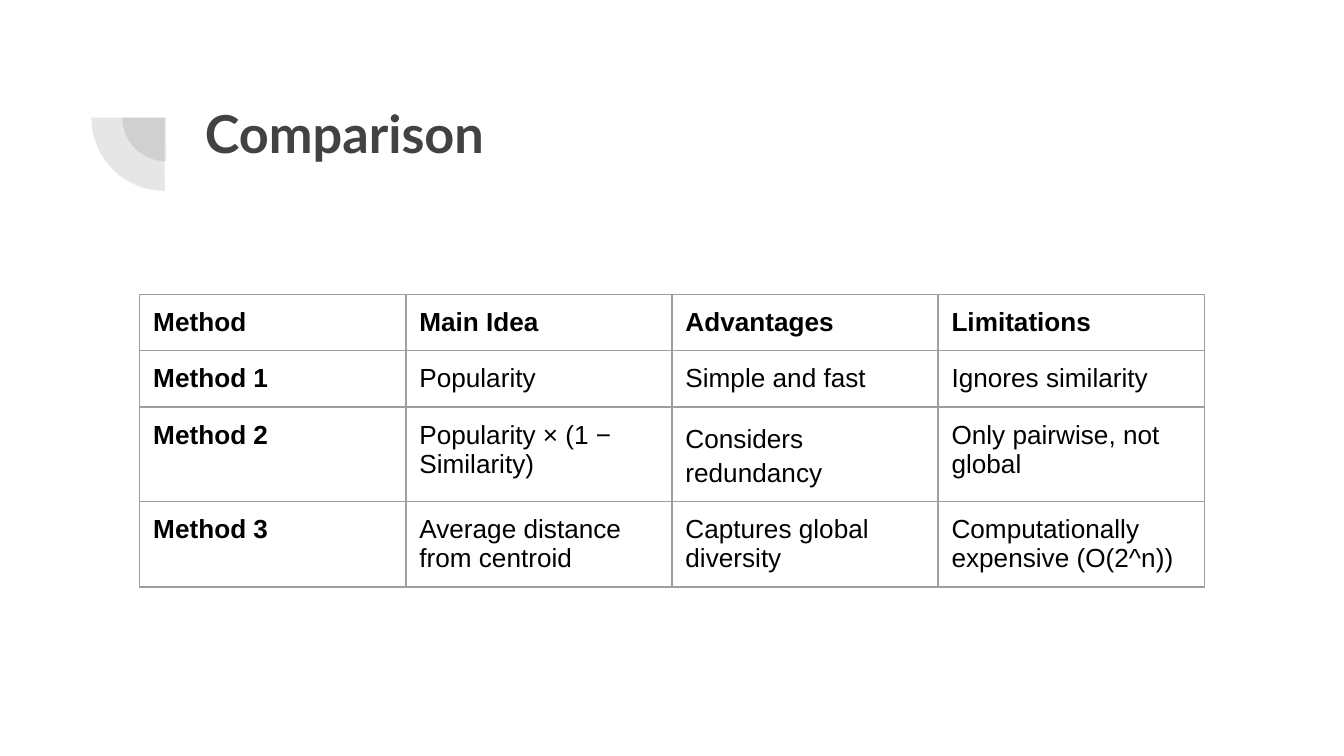
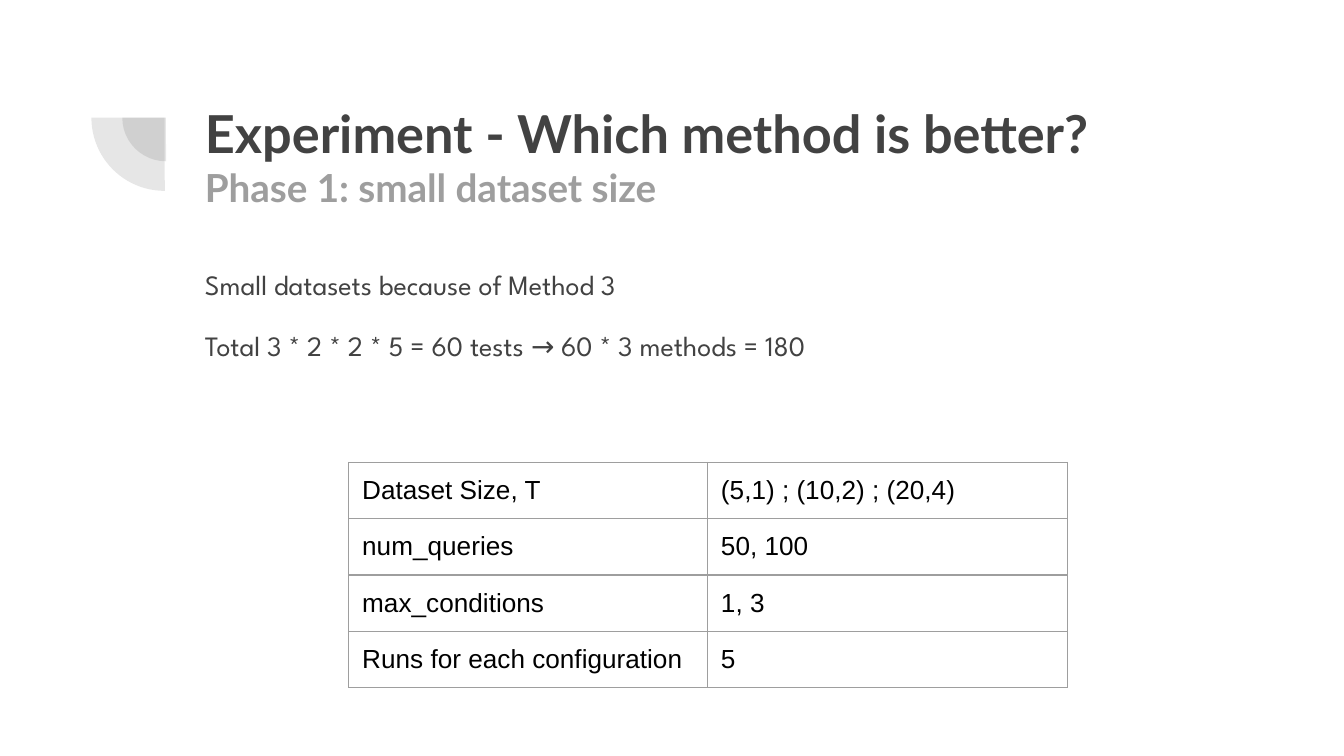
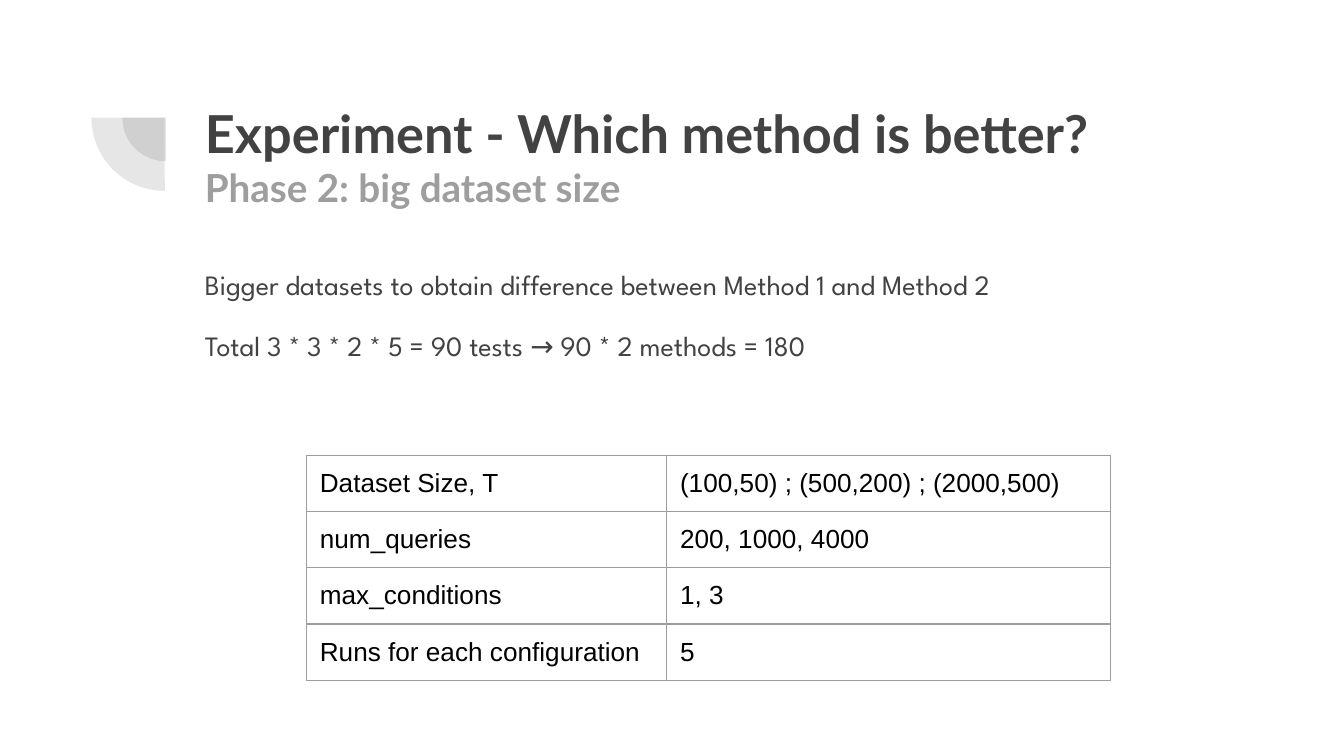
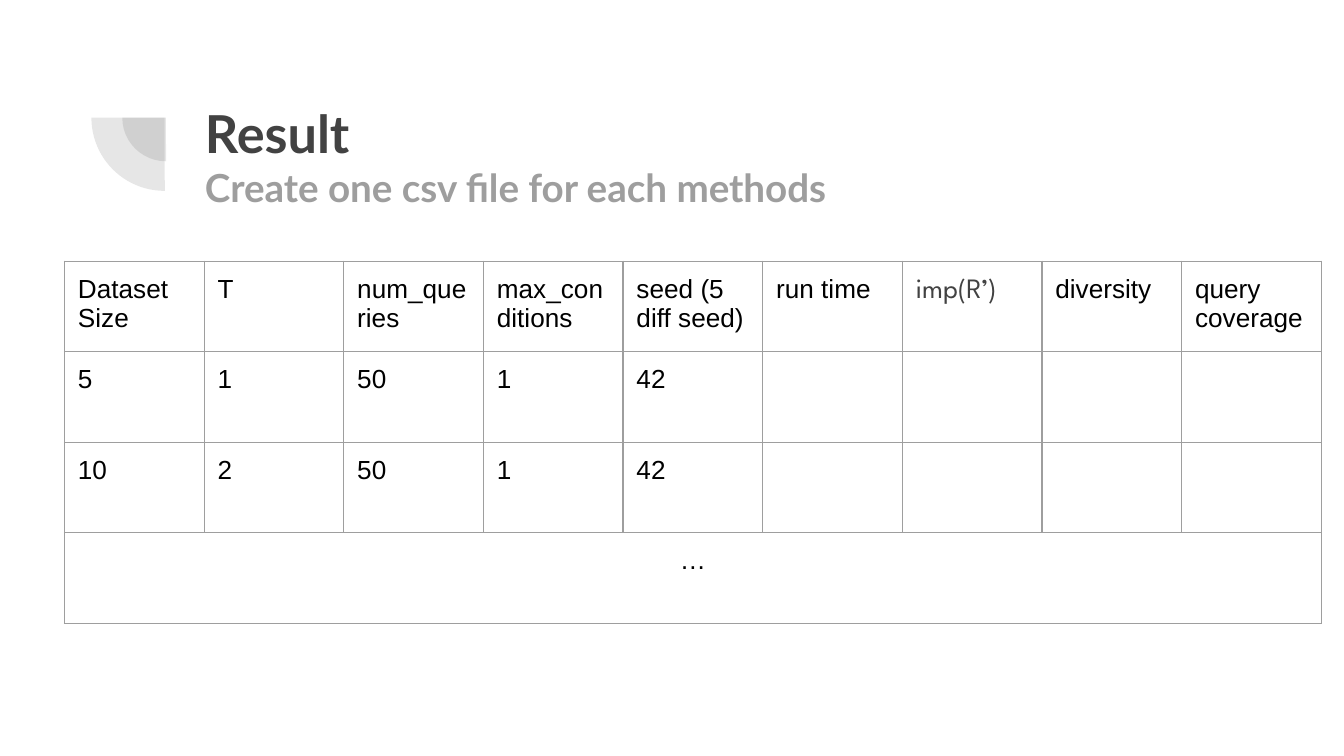
"""Build four slides that compare the methods and set out the experiment."""
from dataclasses import dataclass, field, replace

from lxml import etree
from pptx import Presentation
from pptx.dml.color import RGBColor
from pptx.enum.shapes import MSO_SHAPE
from pptx.enum.text import MSO_ANCHOR, MSO_AUTO_SIZE, PP_ALIGN
from pptx.oxml.ns import qn
from pptx.presentation import Presentation as Deck
from pptx.slide import Slide
from pptx.table import _Cell as Cell
from pptx.text.text import TextFrame, _Paragraph as Para
from pptx.util import Emu, Inches, Pt

PIE = MSO_SHAPE.PIE
TOP = MSO_ANCHOR.TOP
FIXED = MSO_AUTO_SIZE.NONE
LEFT, CENTER = PP_ALIGN.LEFT, PP_ALIGN.CENTER
WIDE = Inches(10)
HIGH = Emu(WIDE * 9 // 16)
COLS = 100
TITLED, LISTED = 5, 1


@dataclass(frozen=True)
class Style:
    font: str
    size: float
    color: str
    bold: bool = False
    line: float = 1.0
    before: float = 0
    after: float = 0
    align: PP_ALIGN = LEFT


@dataclass(frozen=True)
class Theme:
    dark: str = "424242"
    gray: str = "9E9E9E"
    rule: float = 0.75
    alpha: int = 13
    title: Style = Style("Lato", 28, "424242", bold=True)
    sub: Style = Style("Lato", 20.7, "9E9E9E", bold=True)
    lead: Style = Style("League Spartan", 15, "424242", line=1.15)
    cell: Style = Style("Arial", 14, "000000")


@dataclass(frozen=True)
class Box:
    x: float
    y: float
    w: float
    h: float


@dataclass(frozen=True)
class Sheet:
    x: float
    y: float
    cols: list[float]
    rows: list[float]
    cells: list[list[str]]
    heads: bool = False
    styles: dict[tuple[int, int], Style] = field(default_factory=dict)
    wide: tuple[int, ...] = ()


@dataclass(frozen=True)
class Page:
    title: list[str]
    sheet: Sheet
    lines: list[str] = field(default_factory=list)
    depth: float = 0


THEME = Theme()
HEAD = Box(14.25, 6.5, 76.9, 10.9)
BODY = Box(14.25, 18.55, 76.9, 13)
PIES = [Box(9.1, 5.5, 6.5, 6.5), Box(6.8, 3.3, 10.9, 10.9)]
LOOSE = replace(THEME.cell, line=1.15)
MID = replace(THEME.cell, align=CENTER)
NEXT = replace(THEME.lead, before=12, after=12)
SHORT = [2.8] + [4.17] * 3

PAGES = [
    Page(["Comparison"], Sheet(
        10.4, 21.9, [19.8] * 4, [4.17] * 4,
        [["Method", "Main Idea", "Advantages", "Limitations"],
         ["Method 1", "Popularity", "Simple and fast", "Ignores similarity"],
         ["Method 2", "Popularity × (1 − Similarity)",
          "Considers redundancy", "Only pairwise, not global"],
         ["Method 3", "Average distance from centroid",
          "Captures global diversity", "Computationally expensive (O(2^n))"]],
        heads=True, styles={(2, 2): LOOSE})),
    Page(["Experiment - Which method is better?", "Phase 1: small dataset size"],
         Sheet(25.95, 34.4, [26.7, 26.8], SHORT,
               [["Dataset Size, T", "(5,1) ; (10,2) ; (20,4)"],
                ["num_queries", "50, 100"],
                ["max_conditions", "1, 3"],
                ["Runs for each configuration", "5"]]),
         ["Small datasets because of Method 3",
          "Total 3 * 2 * 2 * 5 = 60 tests → 60 * 3 methods = 180"], 13),
    Page(["Experiment - Which method is better?", "Phase 2: big dataset size"],
         Sheet(22.8, 33.87, [26.8, 33], SHORT,
               [["Dataset Size, T", "(100,50) ; (500,200) ; (2000,500)"],
                ["num_queries", "200, 1000, 4000"],
                ["max_conditions", "1, 3"],
                ["Runs for each configuration", "5"]]),
         ["Bigger datasets to obtain difference between Method 1 and Method 2",
          "Total 3 * 3 * 2 * 5 = 90 tests → 90 * 2 methods = 180"], 14),
    Page(["Result", "Create one csv file for each methods"], Sheet(
        4.8, 19.43, [10.39] * 9, [6.74] * 4,
        [["Dataset Size", "T", "num_queries", "max_conditions",
          "seed (5 diff seed)", "run time", "imp(R’)", "diversity",
          "query coverage"],
         ["5", "1", "50", "1", "42"],
         ["10", "2", "50", "1", "42"],
         ["…"]],
        styles={(0, 6): replace(THEME.lead, after=12), (3, 0): MID},
        wide=(3,))),
]


def unit(count: float) -> Emu:
    """Turn grid columns into a length."""
    return Emu(round(WIDE * count / COLS))


def place(shape, box: Box) -> None:
    """Move a shape to its box."""
    shape.left, shape.top = unit(box.x), unit(box.y)
    shape.width, shape.height = unit(box.w), unit(box.h)


def dress(para: Para, style: Style) -> None:
    """Format a paragraph and its runs."""
    para.alignment = style.align
    para.line_spacing = style.line
    para.space_before, para.space_after = Pt(style.before), Pt(style.after)
    for run in para.runs:
        font = run.font
        font.name, font.size, font.bold = style.font, Pt(style.size), style.bold
        font.color.rgb = RGBColor.from_string(style.color)


def write(frame: TextFrame, lines: list[str], styles: list[Style]) -> None:
    """Fill a placeholder with plain, styled lines."""
    frame.text = "\n".join(lines)
    frame.word_wrap, frame.auto_size = True, FIXED
    frame.vertical_anchor = TOP
    frame.margin_left = frame.margin_right = unit(1)
    frame.margin_top = frame.margin_bottom = unit(1)
    for para, style in zip(frame.paragraphs, styles):
        dress(para, style)
        props = para._p.get_or_add_pPr()
        props.set("marL", "0")
        props.set("indent", "0")
        etree.SubElement(props, qn("a:buNone"))


def edge(cell: Cell) -> None:
    """Rule all four sides of a cell."""
    props = cell._tc.get_or_add_tcPr()
    for side in ("lnL", "lnR", "lnT", "lnB"):
        line = etree.SubElement(props, qn(f"a:{side}"), w=str(Pt(THEME.rule)))
        paint = etree.SubElement(line, qn("a:solidFill"))
        etree.SubElement(paint, qn("a:srgbClr"), val=THEME.gray)


def fill(cell: Cell, text: str, style: Style) -> None:
    """Set the text and look of one cell."""
    cell.text = text
    cell.margin_left = cell.margin_right = unit(1)
    cell.margin_top = cell.margin_bottom = unit(1)
    dress(cell.text_frame.paragraphs[0], style)
    edge(cell)
    cell.fill.background()


def tabulate(slide: Slide, sheet: Sheet) -> None:
    """Draw a ruled table."""
    frame = slide.shapes.add_table(
        len(sheet.rows), len(sheet.cols), unit(sheet.x), unit(sheet.y),
        unit(sum(sheet.cols)), unit(sum(sheet.rows)))
    table = frame.table
    table.first_row = table.horz_banding = False
    for col, width in zip(table.columns, sheet.cols):
        col.width = unit(width)
    for r, (row, height) in enumerate(zip(table.rows, sheet.rows)):
        row.height = unit(height)
        texts = sheet.cells[r]
        for c, cell in enumerate(row.cells):
            base = replace(THEME.cell, bold=sheet.heads and 0 in (r, c))
            text = texts[c] if c < len(texts) else ""
            fill(cell, text, sheet.styles.get((r, c), base))
    for r in sheet.wide:
        table.cell(r, 0).merge(table.cell(r, len(sheet.cols) - 1))


def adorn(deck: Deck, slide: Slide) -> None:
    """Put the quarter discs on the master, by way of a slide."""
    for mark, box in enumerate(PIES, 20):
        pie = slide.shapes.add_shape(PIE, 0, 0, 0, 0)
        place(pie, box)
        pie.rotation = 270
        pie.adjustments[0], pie.adjustments[1] = 107.93, 162
        pie.shadow.inherit = False
        pie.line.fill.background()
        pie.fill.solid()
        pie.fill.fore_color.rgb = RGBColor.from_string(THEME.dark)
        tint = pie.element.spPr.find(f".//{qn('a:srgbClr')}")
        etree.SubElement(tint, qn("a:alpha"), val=str(THEME.alpha * 1000))
        pie.element.nvSpPr.cNvPr.set("id", str(mark))
        deck.slide_master.shapes.element.append(pie.element)


def draw(deck: Deck, page: Page) -> Slide:
    """Add one page."""
    layout = deck.slide_layouts[LISTED if page.lines else TITLED]
    slide = deck.slides.add_slide(layout)
    title = slide.shapes.title
    place(title, HEAD)
    write(title.text_frame, page.title, [THEME.title, THEME.sub])
    if page.lines:
        body = slide.placeholders[1]
        place(body, replace(BODY, h=page.depth))
        write(body.text_frame, page.lines, [THEME.lead, NEXT])
    tabulate(slide, page.sheet)
    return slide


def main() -> None:
    """Build and save the deck."""
    deck = Presentation()
    deck.slide_width, deck.slide_height = WIDE, HIGH
    slides = [draw(deck, page) for page in PAGES]
    adorn(deck, slides[0])
    deck.save("out.pptx")


if __name__ == "__main__":
    main()
